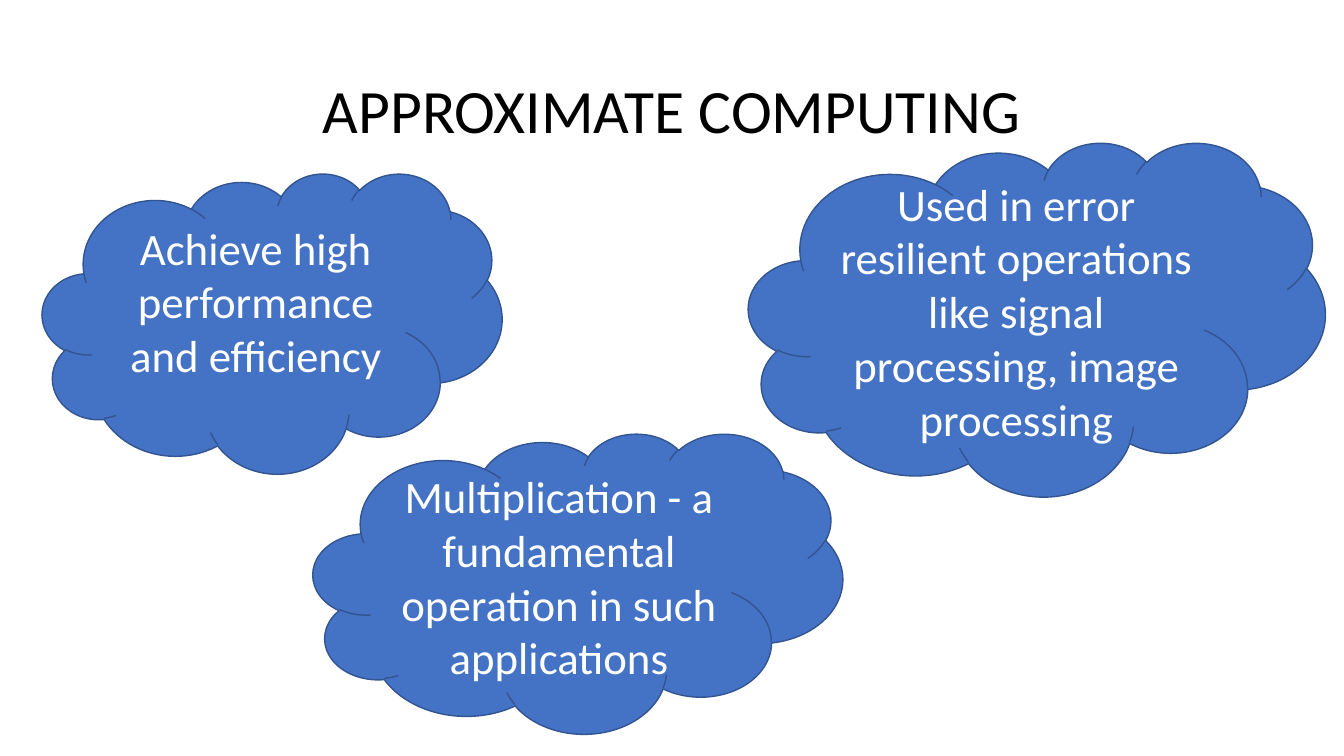
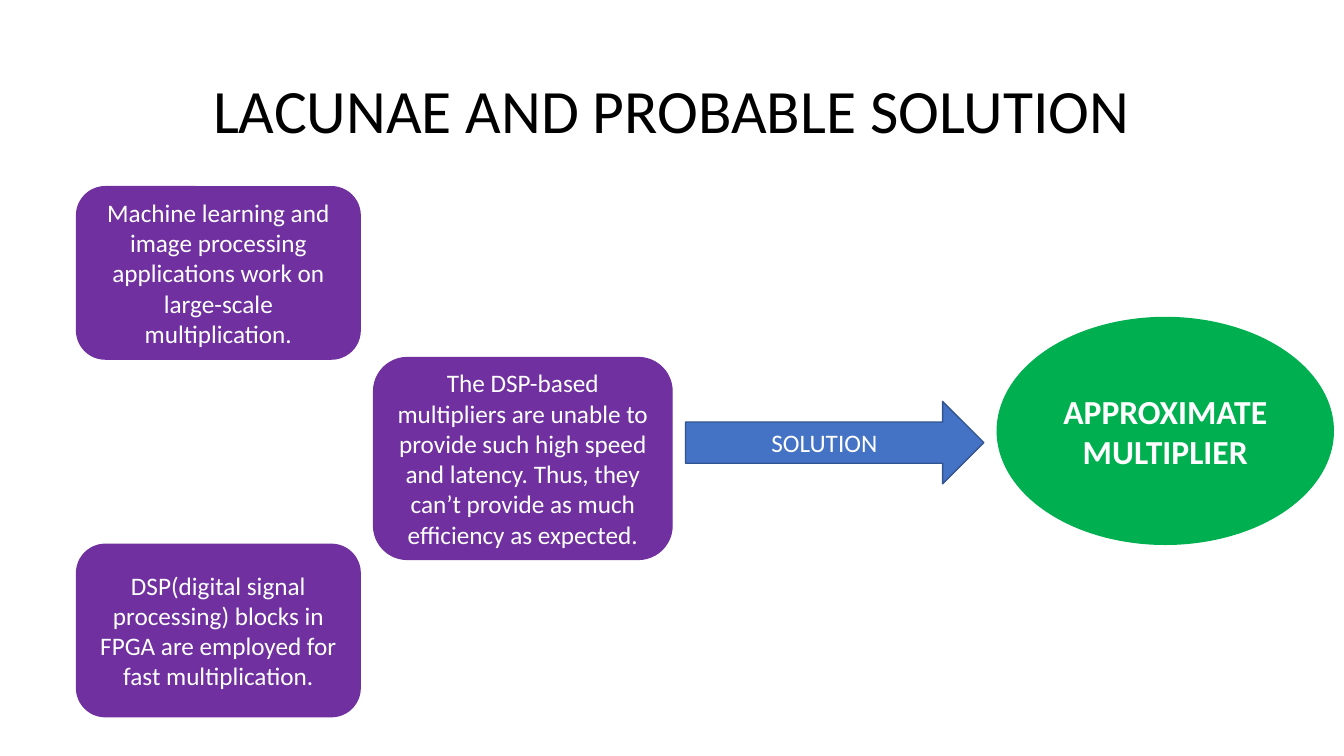
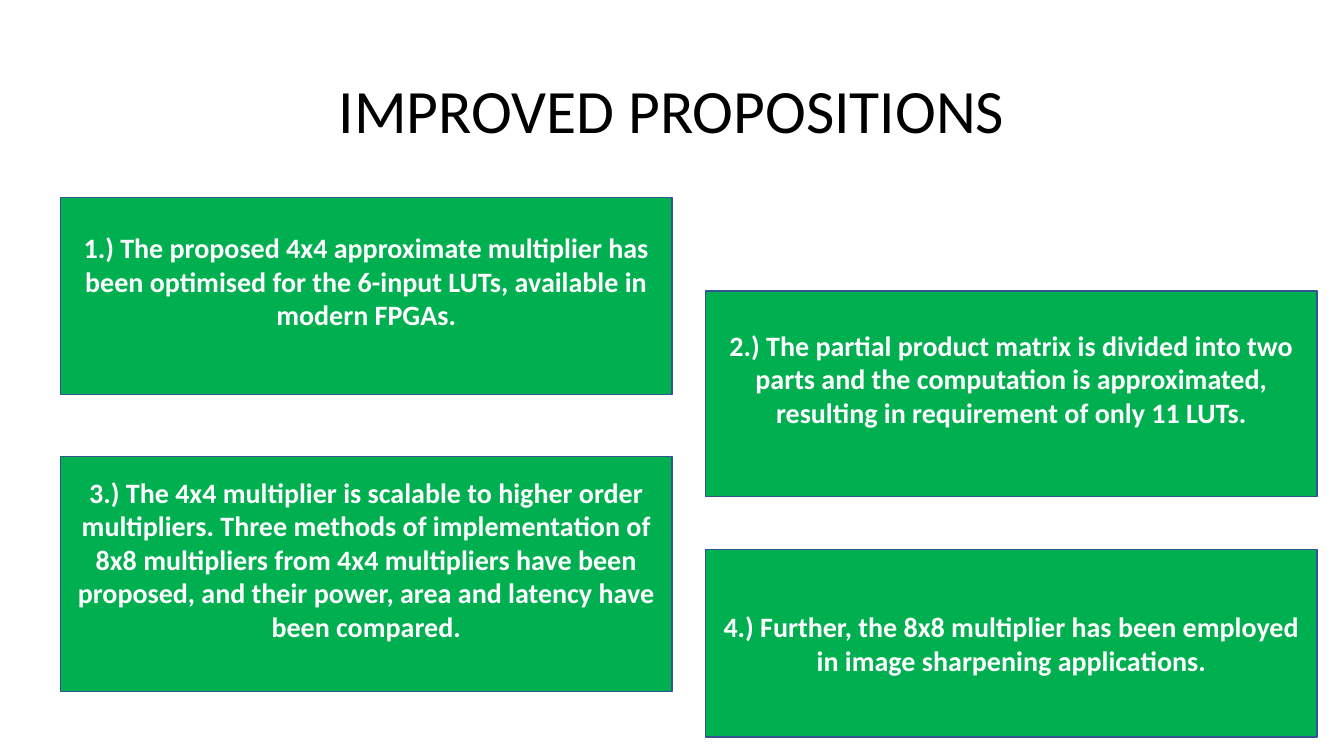
from dataclasses import dataclass
from pptx import Presentation
from pptx.dml.color import RGBColor
from pptx.enum.shapes import MSO_SHAPE as Preset
from pptx.enum.text import MSO_ANCHOR as Anchor, PP_ALIGN as Align
from pptx.util import Inches, Pt


@dataclass(frozen=True)
class Theme:
    font: str = "Calibri"
    ink: str = "000000"
    paper: str = "FFFFFF"
    blue: str = "4472C4"
    navy: str = "325491"
    purple: str = "7030A0"
    green: str = "00B050"
    title: int = 44
    cloud: int = 32
    answer: int = 24
    proposition: int = 20
    body: int = 18
    margin: float = 0.05
    lift: float = 0.3


theme = Theme()
deck = Presentation()
deck.slide_width = Inches(13.33)
deck.slide_height = Inches(7.5)
column = deck.slide_width / 100
row = deck.slide_height / 100


def write(holder, text, size, color=theme.paper, bold=False, spacing=1.0, lift=0):
    frame = holder.text_frame
    frame.word_wrap = True
    frame.vertical_anchor = Anchor.MIDDLE
    frame.margin_bottom = Inches(theme.margin + lift)
    paragraph = frame.paragraphs[0]
    paragraph.alignment = Align.CENTER
    paragraph.line_spacing = spacing
    run = paragraph.add_run()
    run.text = text
    run.font.name = theme.font
    run.font.size = Pt(size)
    run.font.bold = bold
    run.font.color.rgb = RGBColor.from_string(color)


def place(slide, preset, box, fill, line):
    left, top, width, height = box
    shape = slide.shapes.add_shape(
        preset, int(left * column), int(top * row), int(width * column), int(height * row))
    shape.shadow.inherit = False
    shape.fill.solid()
    shape.fill.fore_color.rgb = RGBColor.from_string(fill)
    shape.line.color.rgb = RGBColor.from_string(line)
    shape.line.width = Pt(1)
    return shape


slides = []
for heading in ("APPROXIMATE COMPUTING", "LACUNAE AND PROBABLE SOLUTION", "IMPROVED PROPOSITIONS"):
    slide = deck.slides.add_slide(deck.slide_layouts[6])
    title = slide.shapes.add_textbox(
        int(6.9 * column), int(5.3 * row), int(86.2 * column), int(19.3 * row))
    write(title, heading, theme.title, color=theme.ink, spacing=0.9)
    slides.append(slide)
computing, lacunae, improved = slides

benefits = [
    ((3.15, 22.9, 34.2, 39.7), theme.lift, "Achieve high performance and efficiency"),
    ((55.7, 18.8, 42.9, 46.8), 0,
     "Used in error resilient operations like signal processing, image processing"),
    ((23.3, 57.3, 39.4, 39.7), 0,
     "Multiplication - a fundamental operation in such applications"),
]
for box, lift, benefit in benefits:
    cloud = place(computing, Preset.CLOUD, box, theme.blue, theme.navy)
    write(cloud, benefit, theme.cloud, lift=lift)

gap = 1
cause_left, cause_width, step_width = 5.7, 21.1, 22.2
limit_left = cause_left + cause_width + gap
arrow_left = limit_left + step_width + gap
answer_left = arrow_left + step_width + gap
problems = [
    ((cause_left, 24.7, cause_width, 22.8),
     "Machine learning and image processing applications work on large-scale multiplication."),
    ((cause_left, 72, cause_width, 22.8),
     "DSP(digital signal processing) blocks in FPGA are employed for fast multiplication."),
    ((limit_left, 47.3, step_width, 26.7),
     "The DSP-based multipliers are unable to provide such high speed and latency. "
     "Thus, they can’t provide as much efficiency as expected."),
]
for box, problem in problems:
    card = place(lacunae, Preset.FLOWCHART_ALTERNATE_PROCESS, box, theme.purple, theme.purple)
    write(card, problem, theme.body)
solution = place(lacunae, Preset.RIGHT_ARROW, (arrow_left, 53.1, step_width, 10.9),
                 theme.blue, theme.navy)
write(solution, "SOLUTION", theme.body)
answer = place(lacunae, Preset.FLOWCHART_CONNECTOR, (answer_left, 42, 25, 30),
               theme.green, theme.green)
write(answer, "APPROXIMATE MULTIPLIER", theme.answer, bold=True)

sides = (4.5, 52.5)
propositions = [
    (26.1, 26.1, theme.lift,
     "The proposed 4x4 approximate multiplier has been optimised for the 6-input LUTs, "
     "available in modern FPGAs."),
    (38.5, 27.2, theme.lift,
     "The partial product matrix is divided into two parts and the computation is "
     "approximated, resulting in requirement of only 11 LUTs."),
    (60.4, 31.1, theme.lift,
     "The 4x4 multiplier is scalable to higher order multipliers. Three methods of "
     "implementation of 8x8 multipliers from 4x4 multipliers have been proposed, and "
     "their power, area and latency have been compared."),
    (72.7, 24.8, 0,
     "Further, the 8x8 multiplier has been employed in image sharpening applications."),
]
for index, (top, height, lift, proposition) in enumerate(propositions):
    panel = place(improved, Preset.RECTANGLE, (sides[index % 2], top, 45.5, height),
                  theme.green, theme.navy)
    write(panel, f"{index + 1}.) {proposition}", theme.proposition, bold=True, lift=lift)

deck.save("out.pptx")
